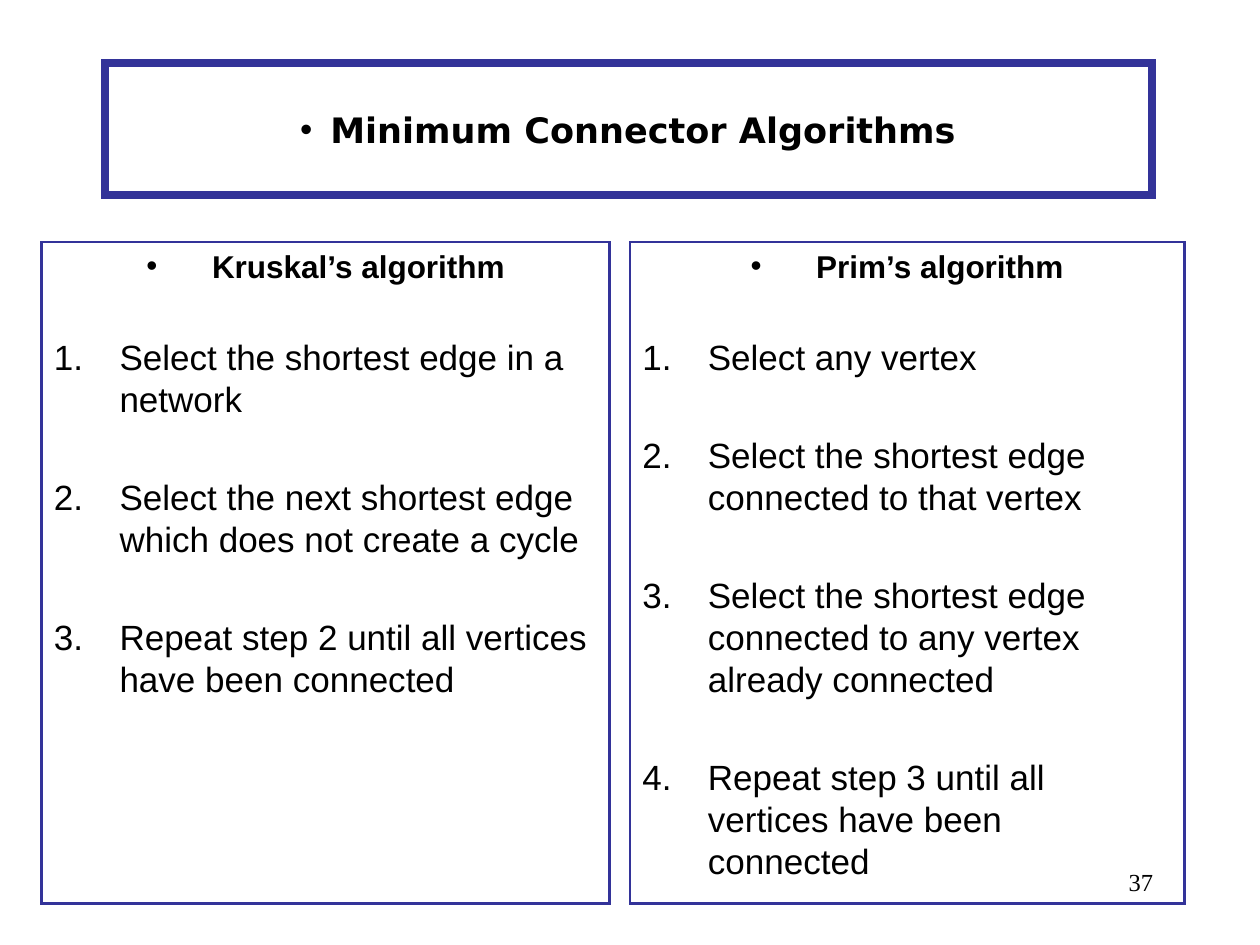
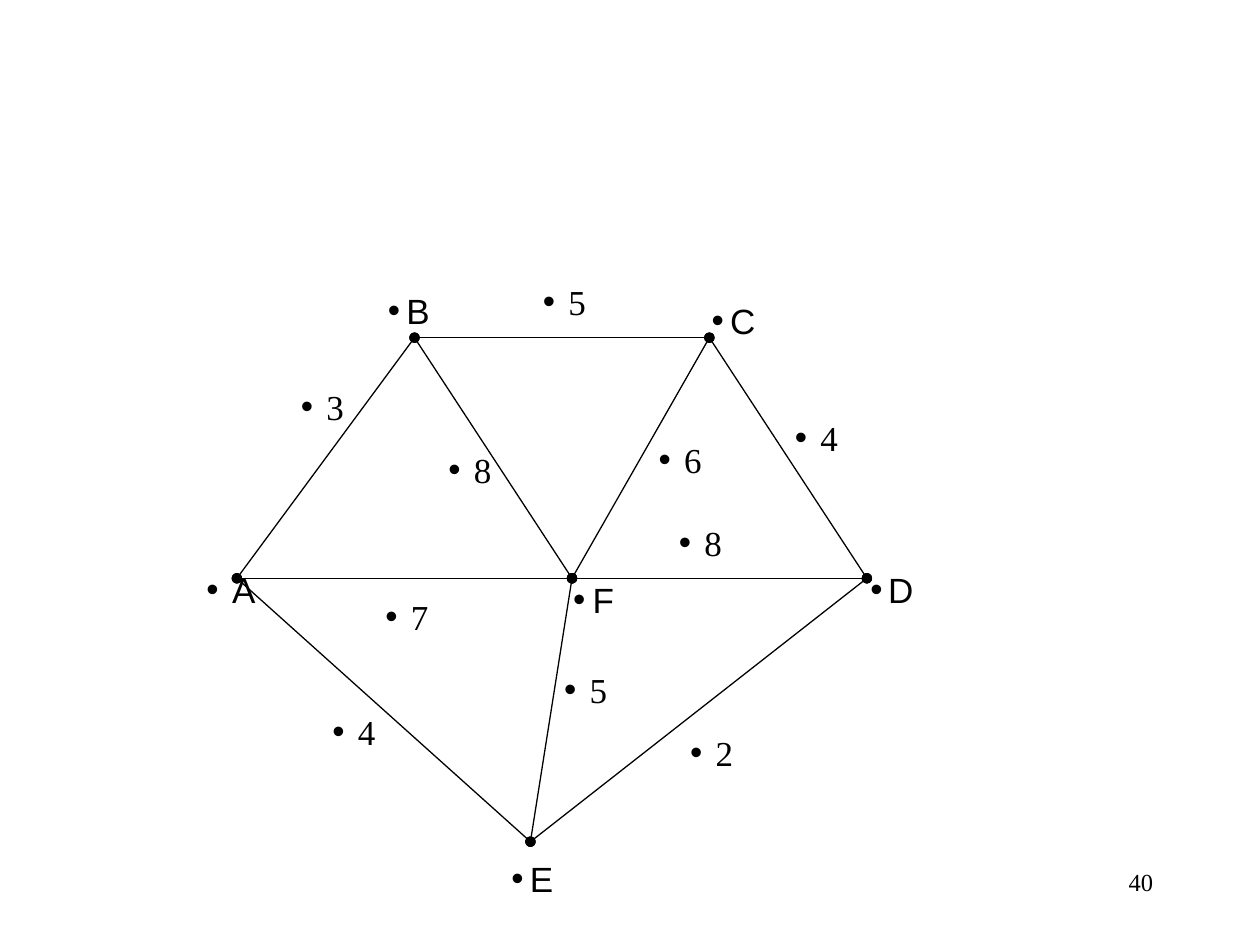
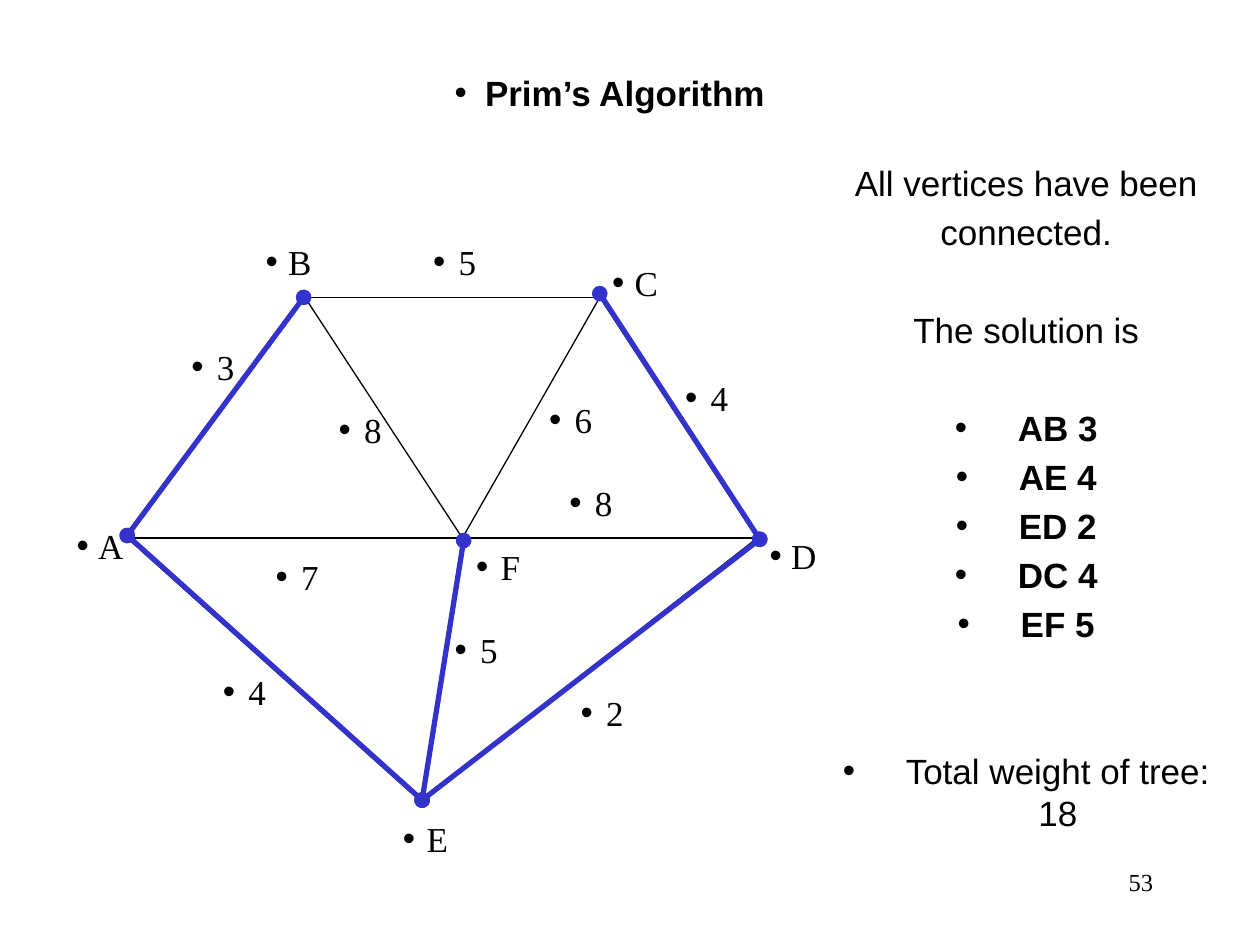
from dataclasses import dataclass

from pptx import Presentation
from pptx import util as u
from pptx.dml.color import RGBColor
from pptx.enum import shapes, text
from pptx.oxml.ns import qn
from lxml import etree

PX = 9144


@dataclass(frozen=True)
class Theme:
    """Colours, fonts and type sizes of the deck."""
    ink: str = "000000"
    frame: str = "333399"
    tree: str = "3333CC"
    sans: str = "Arial"
    serif: str = "Times New Roman"
    title: str = "DejaVu Sans"
    body: int = 20
    heading: int = 18
    number: int = 14
    thin: float = 0.75
    thick: float = 3
    gap: int = 4
    wide_gap: int = 32


T = Theme()
CENTER, LEFT, RIGHT = (text.PP_ALIGN.CENTER, text.PP_ALIGN.LEFT,
                       text.PP_ALIGN.RIGHT)
BULLET = [("a:buFont", {"typeface": T.sans}), ("a:buChar", {"char": "•"})]
NUMBER = [("a:buAutoNum", {"type": "arabicPeriod"})]
NO_BULLET = [("a:buNone", {})]

VERTICES = {"A": (0, 191), "B": (141, 0), "C": (375, 0),
            "D": (500, 191), "E": (233, 400), "F": (266, 191)}
TREE_VERTICES = {"A": (0, 189), "B": (140, 0), "C": (375, -3),
                 "D": (502, 192), "E": (234, 399), "F": (267, 193)}
EDGES = ["AB", "BC", "CD", "AF", "FD", "BF", "FC", "AE", "EF", "ED"]
TREE_EDGES = ["AB", "AE", "ED", "DC", "EF"]
WEIGHTS = [("2", 350, 308), ("7", 108, 200), ("4", 66, 291), ("5", 250, 258),
           ("8", 158, 83), ("6", 325, 75), ("4", 433, 58), ("5", 233, -50),
           ("3", 41, 33), ("8", 341, 141)]
PLAIN_NAMES = [("A", -34, 178, 55), ("F", 257, 186, 41), ("B", 110, -43, 40),
               ("C", 367, -35, 45), ("D", 493, 178, 34), ("E", 208, 408, 40)]
SOLVED_NAMES = [("A", -50, 175, 50), ("F", 267, 192, 50), ("B", 100, -50, 50),
                ("C", 375, -33, 50), ("D", 500, 183, 50), ("E", 209, 408, 50)]

KRUSKAL = ["Select the shortest edge in a network",
           "Select the next shortest edge which does not create a cycle",
           "Repeat step 2 until all vertices have been connected"]
PRIM = ["Select any vertex",
        "Select the shortest edge connected to that vertex",
        "Select the shortest edge connected to any vertex already connected",
        "Repeat step 3 until all vertices have been connected"]
SOLUTION = ["AB 3", "AE 4", "ED 2", "DC 4", "EF 5"]


def px(*lengths):
    """Turn px lengths into EMU."""
    return [u.Emu(round(n * PX)) for n in lengths]


def write(tf, content, font=T.sans, size=T.body, bold=False, align=CENTER,
          mark=BULLET, indent=24, before=0):
    """Add one formatted paragraph, filling the empty first one if there is one."""
    p = tf.paragraphs[0] if not tf.text else tf.add_paragraph()
    p.alignment = align
    p.space_before = u.Pt(before)
    pPr = p._p.get_or_add_pPr()
    pPr.set("marL", str(indent * PX))
    pPr.set("indent", str(-indent * PX))
    for tag, attributes in mark:
        etree.SubElement(pPr, qn(tag), attributes)
    p.text = content
    r = p.runs[0]
    r.font.name, r.font.size, r.font.bold = font, u.Pt(size), bold
    r.font.color.rgb = RGBColor.from_string(T.ink)


def text_box(parent, box, grow=True):
    """Add a wrapping text box and return its text frame."""
    tf = parent.add_textbox(*px(*box)).text_frame
    tf.word_wrap = True
    if grow:
        tf.auto_size = text.MSO_AUTO_SIZE.SHAPE_TO_FIT_TEXT
    return tf


def frame(slide, box, width, anchor, inset):
    """Add an outlined rectangle and return its text frame."""
    sp = slide.shapes.add_shape(shapes.MSO_SHAPE.RECTANGLE, *px(*box))
    sp.shadow.inherit = False
    sp.fill.background()
    sp.line.color.rgb = RGBColor.from_string(T.frame)
    sp.line.width = u.Pt(width)
    etree.SubElement(sp.line._get_or_add_ln(), qn("a:miter"), lim="800000")
    tf = sp.text_frame
    tf.word_wrap = True
    tf.vertical_anchor = anchor
    tf.margin_top, tf.margin_bottom = px(inset, inset)
    return tf


def edge(parent, start, end, color, width, dots):
    """Add a straight edge, with round ends if dots is set."""
    c = parent.add_connector(shapes.MSO_CONNECTOR.STRAIGHT, *px(*start, *end))
    c.line.color.rgb = RGBColor.from_string(color)
    c.line.width = u.Pt(width)
    if dots:
        for tag in ("a:headEnd", "a:tailEnd"):
            etree.SubElement(c.line._get_or_add_ln(), qn(tag), type="oval")
    etree.SubElement(c._element.spPr, qn("a:effectLst"))


def edges(parent, origin, pairs, vertices, color, width, dots):
    """Draw the edges named by pairs of vertices, relative to the origin."""
    x, y = origin
    spots = {name: (x + dx, y + dy) for name, (dx, dy) in vertices.items()}
    for a, b in pairs:
        edge(parent, spots[a], spots[b], color, width, dots)


def network(slide, origin, names, name_font, name_height, dots):
    """Draw the weighted network with its vertex names as one group."""
    x, y = origin
    group = slide.shapes.add_group_shape().shapes
    edges(group, origin, EDGES, VERTICES, T.ink, T.thin, dots)
    for name, dx, dy, w in names:
        write(text_box(group, (x + dx, y + dy, w, name_height)), name, name_font)
    for weight, dx, dy in WEIGHTS:
        write(text_box(group, (x + dx, y + dy, 50, 50)), weight, T.serif)


def steps_panel(slide, box, heading, steps):
    """Add a framed panel with a heading and numbered steps."""
    tf = frame(slide, box, 1.5, text.MSO_ANCHOR.TOP, 4)
    write(tf, heading, size=T.heading, bold=True, indent=52)
    for i, step in enumerate(steps):
        write(tf, step, align=LEFT, mark=NUMBER, indent=52,
              before=T.wide_gap if i else 29)


def solution(slide, box):
    """Add the column that lists the tree and its total weight."""
    tf = text_box(slide.shapes, box)
    write(tf, "All vertices have been", mark=NO_BULLET, indent=50)
    write(tf, "connected.", mark=NO_BULLET, indent=50, before=T.gap)
    write(tf, "The solution is", mark=NO_BULLET, indent=50, before=T.wide_gap)
    for i, line in enumerate(SOLUTION):
        write(tf, line, bold=True, indent=50,
              before=T.gap if i else T.wide_gap)
    write(tf, "Total weight of tree: 18", indent=50, before=60)


def page_number(slide, number):
    """Add the page number at the lower right."""
    write(text_box(slide.shapes, (717, 683, 208, 50), grow=False), str(number),
          T.serif, T.number, align=RIGHT, mark=NO_BULLET, indent=0)


def algorithms_slide(slide):
    """Compare the steps of the two algorithms."""
    tf = frame(slide, (83, 50, 831, 105), 4.5, text.MSO_ANCHOR.MIDDLE, 5)
    write(tf, "Minimum Connector Algorithms", T.title, bold=True)
    steps_panel(slide, (33, 192, 451, 525), "Kruskal’s algorithm", KRUSKAL)
    steps_panel(slide, (500, 192, 440, 525), "Prim’s algorithm", PRIM)


def network_slide(slide):
    """Show the network alone."""
    network(slide, (188, 268), PLAIN_NAMES, T.sans, 43, True)


def solved_slide(slide):
    """Show the network with its minimum tree and the solution."""
    origin = (101, 236)
    write(text_box(slide.shapes, (90, 52, 788, 50)), "Prim’s Algorithm", bold=True)
    network(slide, origin, SOLVED_NAMES, T.serif, 50, False)
    solution(slide, (657, 123, 315, 481))
    edges(slide.shapes, origin, TREE_EDGES, TREE_VERTICES, T.tree, T.thick, True)


def main():
    """Build the deck and save it."""
    prs = Presentation()
    prs.slide_width, prs.slide_height = px(1000, 750)
    pages = [(algorithms_slide, 37), (network_slide, 40), (solved_slide, 53)]
    for build, number in pages:
        slide = prs.slides.add_slide(prs.slide_layouts[6])
        build(slide)
        page_number(slide, number)
    prs.save("out.pptx")


if __name__ == "__main__":
    main()
